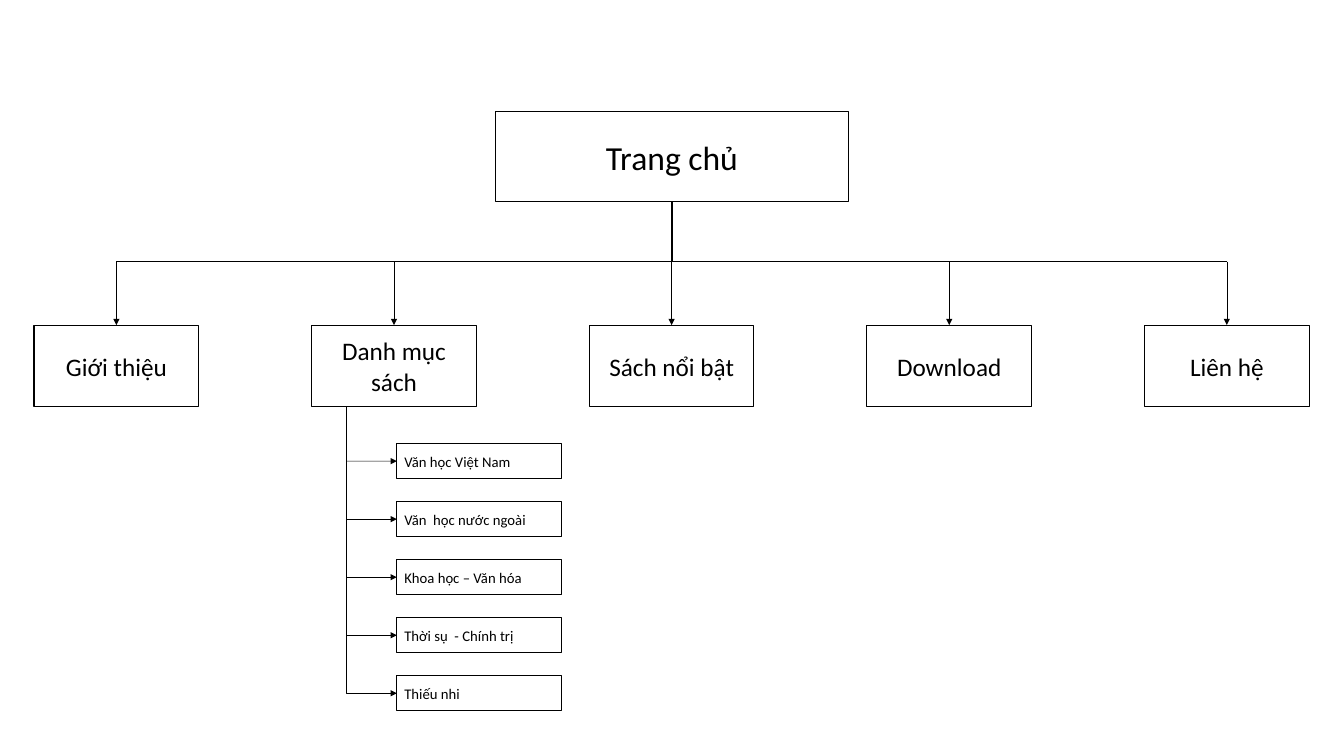
from lxml.etree import SubElement
from pptx import Presentation
from pptx.dml.color import RGBColor
from pptx.enum.shapes import MSO_CONNECTOR, MSO_SHAPE
from pptx.enum.text import MSO_ANCHOR, PP_ALIGN
from pptx.oxml.ns import qn
from pptx.util import Pt

BLACK = RGBColor(0x00, 0x00, 0x00)
WHITE = RGBColor(0xFF, 0xFF, 0xFF)
FONT = "Calibri"

PAGES = ["Giới thiệu", "Danh mục\vsách", "Sách nổi bật", "Download", "Liên hệ"]
GENRES = ["Văn học Việt Nam", "Văn  học nước ngoài", "Khoa học – Văn hóa",
          "Thời sụ  - Chính trị", "Thiếu nhi"]

# Layout in points
MID = 640.08
BUS = 249.12
PAGE_X, PAGE_Y, PAGE_GAP = 32.4, 309.6, 264.42
BOX_W, PAGE_H = 156.96, 77.76
TRUNK = 329.76
ITEM_X, ITEM_Y, ITEM_GAP, ITEM_H = 378, 422.64, 55.26, 33.12


def write(shape, text, size=24, align=PP_ALIGN.CENTER, color=BLACK):
    frame = shape.text_frame
    frame.word_wrap = True
    frame.vertical_anchor = MSO_ANCHOR.MIDDLE
    para = frame.paragraphs[0]
    para.text = text
    para.alignment = align
    for run in para.runs:
        run.font.name = FONT
        run.font.size = Pt(size)
        run.font.color.rgb = color


def add_box(slide, x, y, w, h, text, **style):
    box = slide.shapes.add_shape(MSO_SHAPE.RECTANGLE, Pt(x), Pt(y), Pt(w), Pt(h))
    box.shadow.inherit = False
    box.fill.solid()
    box.fill.fore_color.rgb = WHITE
    box.line.color.rgb = BLACK
    box.line.width = Pt(1)
    write(box, text, **style)
    return box


def add_line(slide, x1, y1, x2, y2, width=1, arrow=False, kind=MSO_CONNECTOR.STRAIGHT):
    line = slide.shapes.add_connector(kind, Pt(x1), Pt(y1), Pt(x2), Pt(y2))
    line.line.color.rgb = BLACK
    line.line.width = Pt(width)
    if arrow:
        SubElement(line.line._get_or_add_ln(), qn("a:tailEnd"), type="triangle")
    SubElement(line._element.spPr, qn("a:effectLst"))
    return line


def add_elbow(slide, x1, y1, x2, y2):
    """Arrow that runs down and then right: a one-bend connector, turned 270°."""
    w, h = y2 - y1, x2 - x1
    cx, cy = (x1 + x2) / 2, (y1 + y2) / 2
    line = add_line(slide, cx + w / 2, cy - h / 2, cx - w / 2, cy + h / 2,
                    width=0.5, arrow=True, kind=MSO_CONNECTOR.ELBOW)
    props = line._element.spPr
    props.find(qn("a:xfrm")).set("rot", "16200000")
    props.find(qn("a:prstGeom")).set("prst", "bentConnector2")


def add_pages(slide):
    # Row of main pages, each fed from the bus
    for i, name in enumerate(PAGES):
        x = PAGE_X + i * PAGE_GAP
        box = add_box(slide, x, PAGE_Y, BOX_W, PAGE_H, name)
        mid = x + BOX_W / 2
        line = add_line(slide, mid, BUS, mid, PAGE_Y, width=0.5, arrow=True)
        line.end_connect(box, 0)


def add_genres(slide):
    # Column of genres, the last one reached by the trunk itself
    last = len(GENRES) - 1
    for i, name in enumerate(GENRES):
        y = ITEM_Y + i * ITEM_GAP
        mid = y + ITEM_H / 2
        box = add_box(slide, ITEM_X, y, BOX_W, ITEM_H, name,
                      size=14, align=PP_ALIGN.LEFT)
        if i < last:
            line = add_line(slide, TRUNK, mid, ITEM_X, mid, width=0.5, arrow=True)
            line.end_connect(box, 1)
        else:
            add_elbow(slide, TRUNK, PAGE_Y + PAGE_H, ITEM_X, mid)


def main():
    deck = Presentation()
    deck.slide_width, deck.slide_height = Pt(1280.16), Pt(720)
    slide = deck.slides.add_slide(deck.slide_layouts[6])

    # Home page and the bus below it
    home = add_box(slide, 471.6, 106.56, 336.96, 85.68, "Trang chủ", size=32)
    stem = add_line(slide, MID, 192.24, MID, BUS)
    stem.begin_connect(home, 2)
    first = PAGE_X + BOX_W / 2
    add_line(slide, first + (len(PAGES) - 1) * PAGE_GAP, BUS, first, BUS)

    add_pages(slide)
    add_genres(slide)
    deck.save("out.pptx")


if __name__ == "__main__":
    main()
